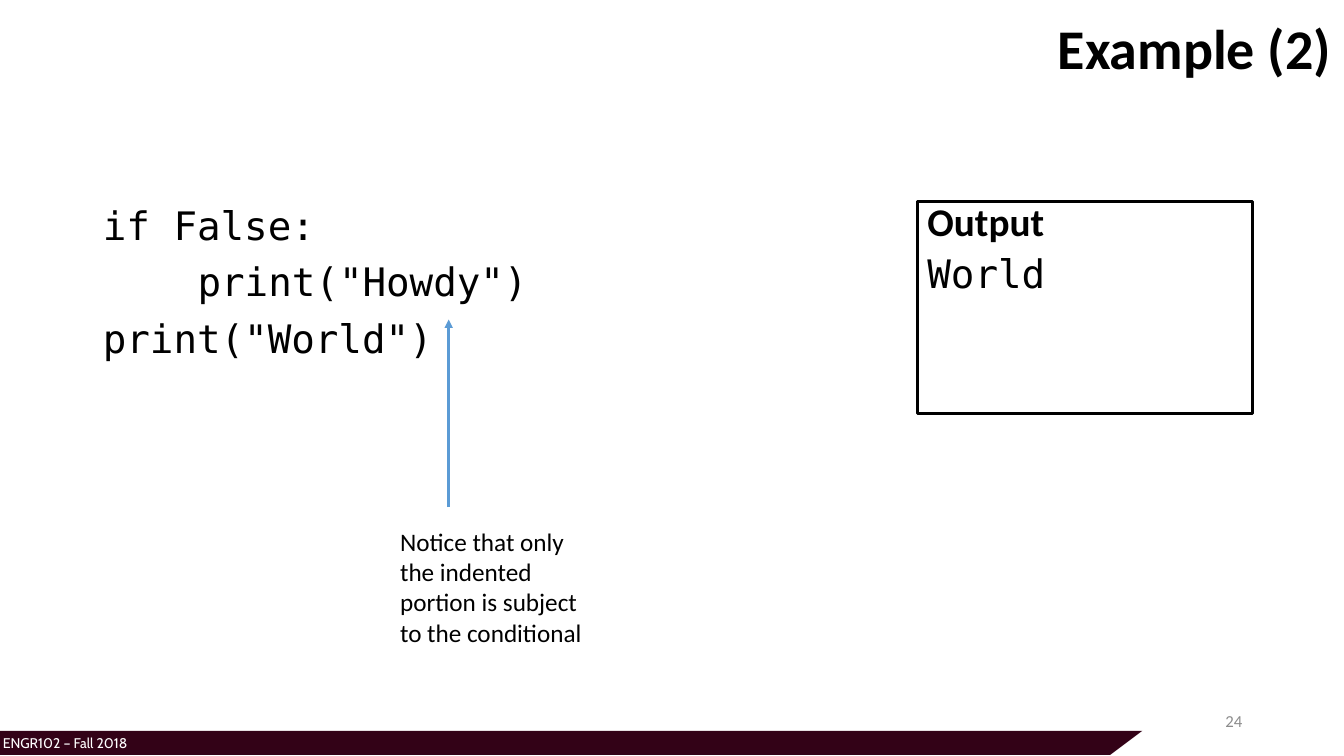
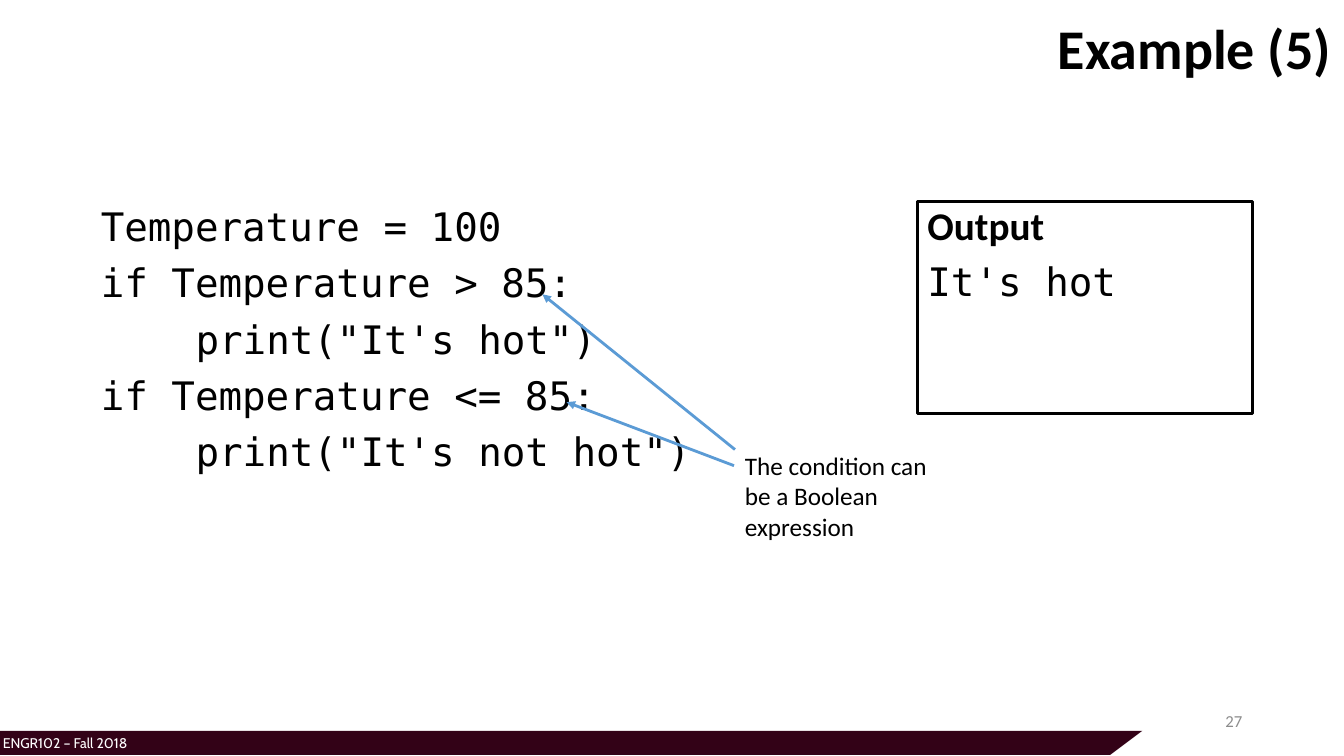
from lxml import etree
from pptx import Presentation
from pptx.dml.color import RGBColor
from pptx.enum.shapes import MSO_CONNECTOR, MSO_SHAPE
from pptx.enum.text import MSO_ANCHOR, MSO_AUTO_SIZE, PP_ALIGN
from pptx.oxml.ns import qn
from pptx.util import Emu, Pt

LEFT, RIGHT = PP_ALIGN.LEFT, PP_ALIGN.RIGHT
TOP, MIDDLE = MSO_ANCHOR.TOP, MSO_ANCHOR.MIDDLE
NO_FIT = MSO_AUTO_SIZE.NONE
RECT, STRAIGHT = MSO_SHAPE.RECTANGLE, MSO_CONNECTOR.STRAIGHT

PX = 9144
WIDTH, HEIGHT = 1333, 750
INDENT = 94
SANS, MONO, FOOTER = "Calibri", "DejaVu Sans Mono", "Cabin"
COLORS = {"text": "000000", "band": "330217", "footer": "FFFFFF",
          "arrow": "5B9BD5", "number": "8C8C8C"}


def px(n):
    return Emu(n * PX)


def rgb(name):
    return RGBColor.from_string(COLORS[name])


class Deck:
    """Slides in the course style, drawn one element at a time."""

    def __init__(self):
        self.prs = Presentation()
        self.prs.slide_width, self.prs.slide_height = px(WIDTH), px(HEIGHT)
        self.s = None

    def add_slide(self, title, number):
        self.s = self.prs.slides.add_slide(self.prs.slide_layouts[1])
        self.band()
        self.text((-7, 724, 750, 30), "ENGR102 – Fall 2018", 10, "footer", FOOTER)
        self.title(title)
        self.text((942, 695, 300, 40), str(number), 12, "number", align=RIGHT, anchor=MIDDLE)

    def place(self, sp, box):
        sp.left, sp.top, sp.width, sp.height = map(px, box)

    def frame(self, sp, anchor=TOP):
        tf = sp.text_frame
        tf.word_wrap = True
        tf.auto_size = NO_FIT
        tf.vertical_anchor = anchor
        return tf

    def style(self, p, size, color="text", font=SANS, bold=False, align=LEFT,
              line=1.0, before=0):
        p.alignment, p.line_spacing, p.space_before = align, line, Pt(before)
        for r in p.runs:
            r.font.size, r.font.name, r.font.bold = Pt(size), font, bold
            r.font.color.rgb = rgb(color)

    def band(self):
        builder = self.s.shapes.build_freeform(-1, 725, scale=PX)
        builder.add_line_segments([(1133, 725), (1101, 749), (-2, 749)])
        sp = builder.convert_to_shape()
        sp.shadow.inherit = False
        sp.fill.solid()
        sp.fill.fore_color.rgb = rgb("band")
        sp.line.fill.background()

    def title(self, text):
        sp = self.s.shapes.title
        self.place(sp, (597, 0, 733, 101))
        tf = self.frame(sp, MIDDLE)
        tf.text = text
        self.style(tf.paragraphs[0], 40, bold=True, align=RIGHT, line=0.9)

    def text(self, box, text, size, color="text", font=SANS, align=LEFT, anchor=TOP):
        sp = self.s.shapes.add_textbox(*map(px, box))
        tf = self.frame(sp, anchor)
        tf.text = text
        self.style(tf.paragraphs[0], size, color, font, align=align)

    def code(self, left, top, lines):
        sp = self.s.placeholders[1]
        self.place(sp, (left, top, 1150, 476))
        tf = self.frame(sp)
        tf.text = "\n".join(text for _, text in lines)
        for p, (depth, _) in zip(tf.paragraphs, lines):
            self.style(p, 28, font=MONO, line=0.9, before=10)
            pPr = p._p.get_or_add_pPr()
            pPr.set("marL", str(px(depth * INDENT)))
            pPr.set("indent", "0")
            etree.SubElement(pPr, qn("a:buNone"))

    def output(self, result, line):
        sp = self.s.shapes.add_shape(RECT, *map(px, (910, 200, 332, 210)))
        sp.shadow.inherit = False
        sp.fill.background()
        sp.line.color.rgb = rgb("text")
        sp.line.width = Pt(2)
        tf = self.frame(sp)
        tf.text = "Output\n" + result
        heading, p = tf.paragraphs
        self.style(heading, 28, bold=True, line=line, before=10)
        self.style(p, 28, font=MONO, line=line, before=10)

    def note(self, left, top, height, text):
        self.text((left, top, 204, height), text, 18)

    def arrow(self, start, end):
        cxn = self.s.shapes.add_connector(STRAIGHT, *map(px, start + end))
        cxn.line.color.rgb = rgb("arrow")
        cxn.line.width = Pt(2)
        ln = cxn.line._get_or_add_ln()
        etree.SubElement(ln, qn("a:tailEnd"), type="triangle")
        etree.SubElement(cxn._element.spPr, qn("a:effectLst"))


def main():
    deck = Deck()

    deck.add_slide("Example (2)", 24)
    deck.code(92, 200, [(0, "if False:"),
                        (1, 'print("Howdy")'),
                        (0, 'print("World")')])
    deck.output("World", 0.8)
    deck.note(387, 517, 131,
              "Notice that only the indented portion is subject to the conditional")
    deck.arrow((445, 503), (445, 317))

    deck.add_slide("Example (5)", 27)
    deck.code(90, 201, [(0, "Temperature = 100"),
                        (0, "if Temperature > 85:"),
                        (1, 'print("It\'s hot")'),
                        (0, "if Temperature <= 85:"),
                        (1, 'print("It\'s not hot")')])
    deck.output("It's hot", 0.9)
    deck.note(729, 442, 101, "The condition can be a Boolean expression")
    deck.arrow((729, 446), (538, 292))
    deck.arrow((728, 462), (562, 399))

    deck.prs.save("out.pptx")


if __name__ == "__main__":
    main()
